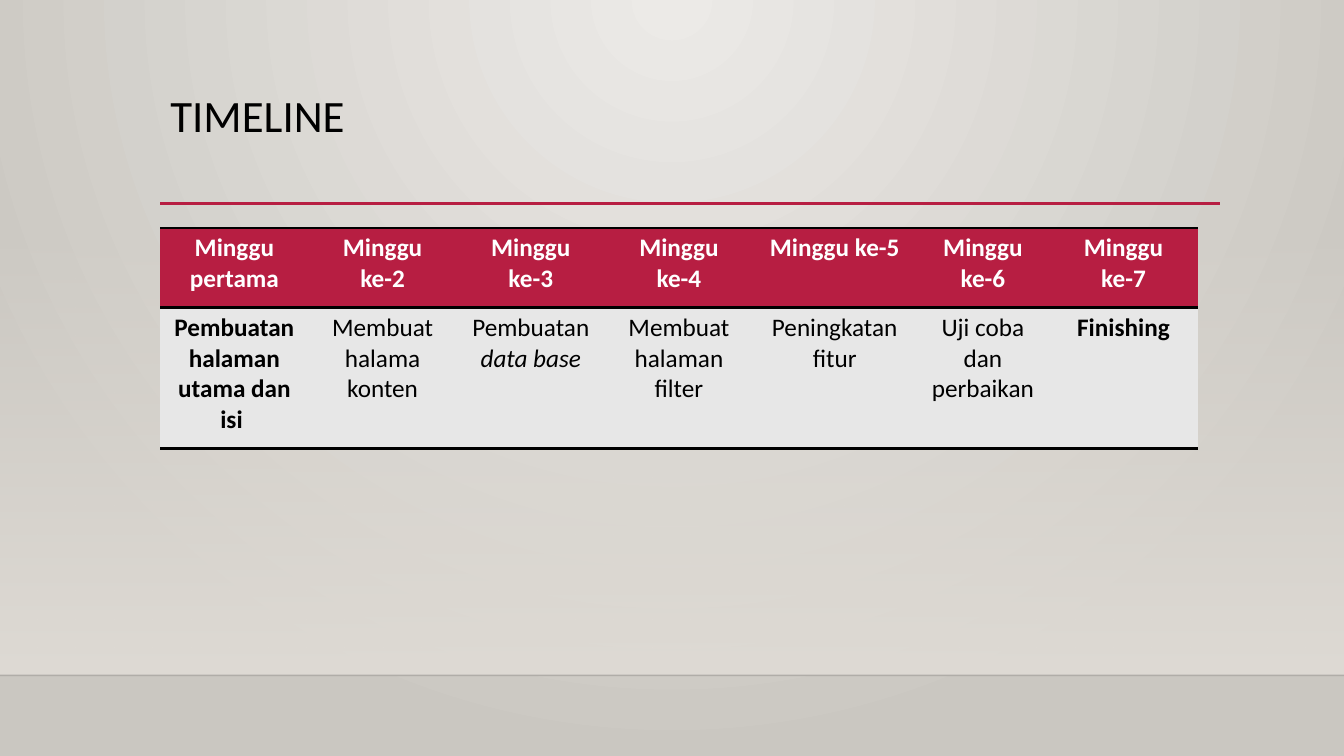
from lxml import etree
from pptx import Presentation
from pptx import util as u
from pptx.dml.color import RGBColor
from pptx.enum import shapes, text
from pptx.oxml import parse_xml
from pptx.oxml.ns import nsdecls, qn

RED = RGBColor(0xB7, 0x1E, 0x42)
BLACK = RGBColor(0, 0, 0)
WHITE = RGBColor(255, 255, 255)
PALE = RGBColor(0xE7, 0xE7, 0xE7)
GLOW = RGBColor(0xEC, 0xEA, 0xE7)
EDGE = RGBColor(0xCA, 0xC7, 0xC1)
SAND = RGBColor(0xDF, 0xDB, 0xD5)

FONT = "Calibri"
WIDE, HIGH = 13.33, 7.5
LEFT = 1.59
FLOOR = 6.7
PLAIN = "{2D5ABB26-0587-4C30-8999-92F81FD0307C}"  # table style without grid

COLS = [1.47, 1.47, 1.47, 1.47, 1.62, 1.32, 1.47]
ROWS = [0.79, 1.4]
WEEKS = ["pertama"] + [f"ke-{n}" for n in range(2, 8)]
# Each task is a list of runs: (words, italic)
TASKS = [
    [("Pembuatan halaman utama dan isi ", False)],
    [("Membuat halama konten", False)],
    [("Pembuatan ", False), ("data base", True)],
    [("Membuat halaman filter", False)],
    [("Peningkatan fitur", False)],
    [("Uji coba dan perbaikan", False)],
    [("Finishing", False)],
]


def inch(*nums):
    return [u.Inches(n) for n in nums]


def blend(fill, first, last):
    """Two-colour gradient running downwards."""
    fill.gradient()
    fill.gradient_angle = 270
    for stop, tone in zip(fill.gradient_stops, (first, last)):
        stop.color.rgb = tone


def fade(color, share):
    """Set the opacity of a colour element, in percent."""
    etree.SubElement(color, qn("a:alpha")).set("val", str(share * 1000))


def rule(slide, left, top, width, tone, size):
    line = slide.shapes.add_connector(
        shapes.MSO_CONNECTOR.STRAIGHT, *inch(left, top, left + width, top))
    line.line.color.rgb = tone
    line.line.width = u.Pt(size)
    etree.SubElement(line._element.spPr, qn("a:effectLst"))
    return line


def scene(slide):
    # Radial backdrop, centred at the top
    blend(slide.background.fill, GLOW, EDGE)
    grad = slide._element.xpath(".//p:bg//a:gradFill")[0]
    grad.replace(grad.find(qn("a:lin")), parse_xml(
        f'<a:path {nsdecls("a")} path="circle">'
        '<a:fillToRect l="43000" t="0" r="43000" b="100000"/></a:path>'))

    # Soft band above the floor line
    top = 2.21
    band = slide.shapes.add_shape(
        shapes.MSO_SHAPE.RECTANGLE, *inch(0, top, WIDE, FLOOR - top))
    band.shadow.inherit = False
    band.line.fill.background()
    blend(band.fill, SAND, SAND)
    fade(band._element.xpath(".//a:gs/a:srgbClr")[0], 0)

    floor = rule(slide, 0, FLOOR, WIDE, BLACK, 1)
    fade(floor._element.xpath(".//a:ln//a:srgbClr")[0], 20)


def write(para, words, size, tone, bold=False, slant=False):
    run = para.add_run()
    run.text = words
    font = run.font
    font.name, font.size, font.color.rgb = FONT, u.Pt(size), tone
    font.bold, font.italic = bold, slant


def head(slide, left, top, width, height):
    title = slide.shapes.title
    title.left, title.top, title.width, title.height = inch(
        left, top, width, height)
    frame = title.text_frame
    frame.word_wrap = True
    frame.auto_size = text.MSO_AUTO_SIZE.NONE
    frame.vertical_anchor = text.MSO_ANCHOR.TOP
    para = frame.paragraphs[0]
    para.alignment = text.PP_ALIGN.LEFT
    para.line_spacing = 0.9
    write(para, "TIMELINE", 32, BLACK)
    rule(slide, left, 2.02, 10.51, RED, 2.5)


def cell_box(cell, tone, sides):
    """Fill a cell and draw black borders on the given sides."""
    cell.fill.solid()
    cell.fill.fore_color.rgb = tone
    props = cell._tc.get_or_add_tcPr()
    for spot, side in enumerate(sides):
        props.insert(spot, parse_xml(
            f'<a:ln{side} {nsdecls("a")} w="{u.Pt(2)}"><a:solidFill>'
            f'<a:srgbClr val="{BLACK}"/></a:solidFill></a:ln{side}>'))


def plan(slide, left, top):
    table = slide.shapes.add_table(
        len(ROWS), len(COLS),
        *inch(left, top, sum(COLS), sum(ROWS))).table
    table._tbl.tblPr.find(qn("a:tableStyleId")).text = PLAIN
    table.horz_banding = False
    for col, width in zip(table.columns, COLS):
        col.width = u.Inches(width)
    for row, height in zip(table.rows, ROWS):
        row.height = u.Inches(height)

    for i, (week, task) in enumerate(zip(WEEKS, TASKS)):
        top_cell, low_cell = table.cell(0, i), table.cell(1, i)
        cell_box(top_cell, RED, "TB")
        cell_box(low_cell, PALE, "TB")
        label, note = (c.text_frame.paragraphs[0]
                       for c in (top_cell, low_cell))
        label.alignment = note.alignment = text.PP_ALIGN.CENTER
        write(label, f"Minggu {week}", 18, WHITE, bold=True)
        ends = i in (0, len(COLS) - 1)
        for words, slant in task:
            write(note, words, 18, BLACK, ends, slant)


def main():
    deck = Presentation()
    deck.slide_width, deck.slide_height = inch(WIDE, HIGH)
    slide = deck.slides.add_slide(deck.slide_layouts[5])
    scene(slide)
    head(slide, LEFT, 0.88, 10.5, 1.15)
    plan(slide, LEFT, 2.26)
    deck.save("out.pptx")


if __name__ == "__main__":
    main()
